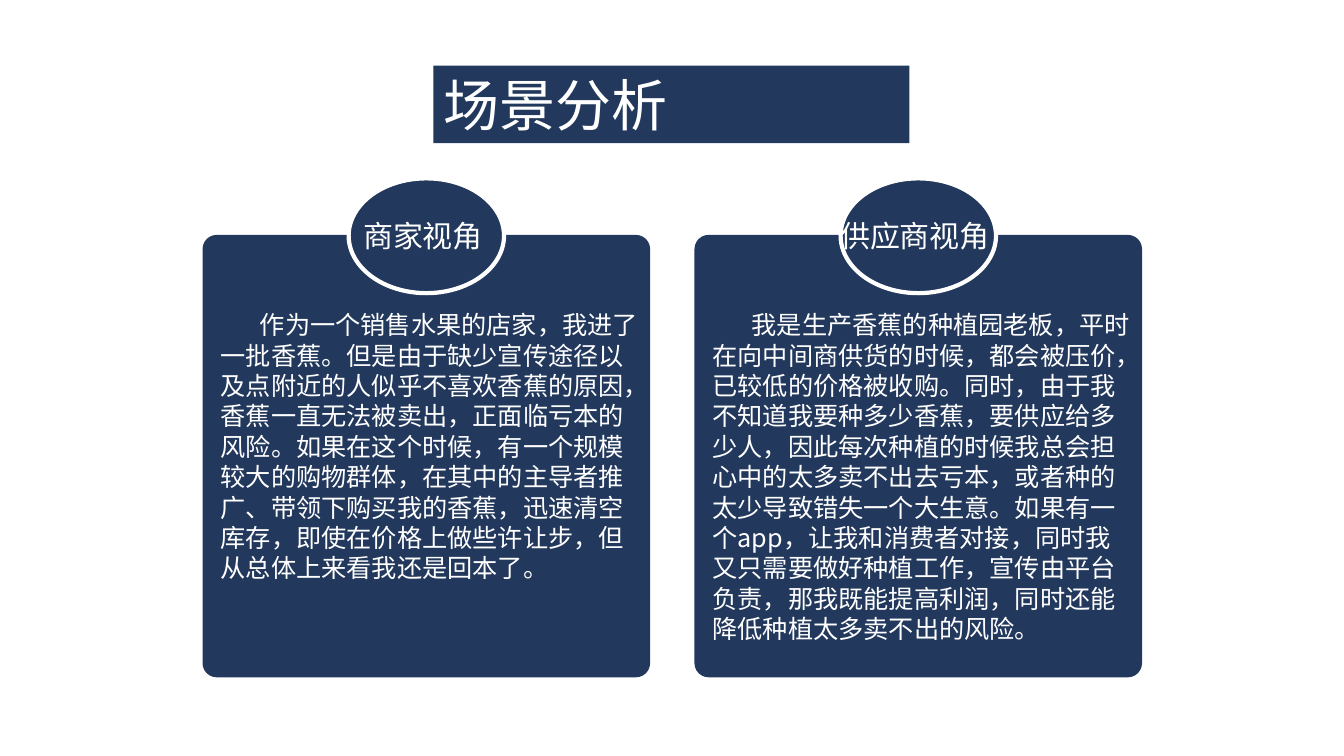
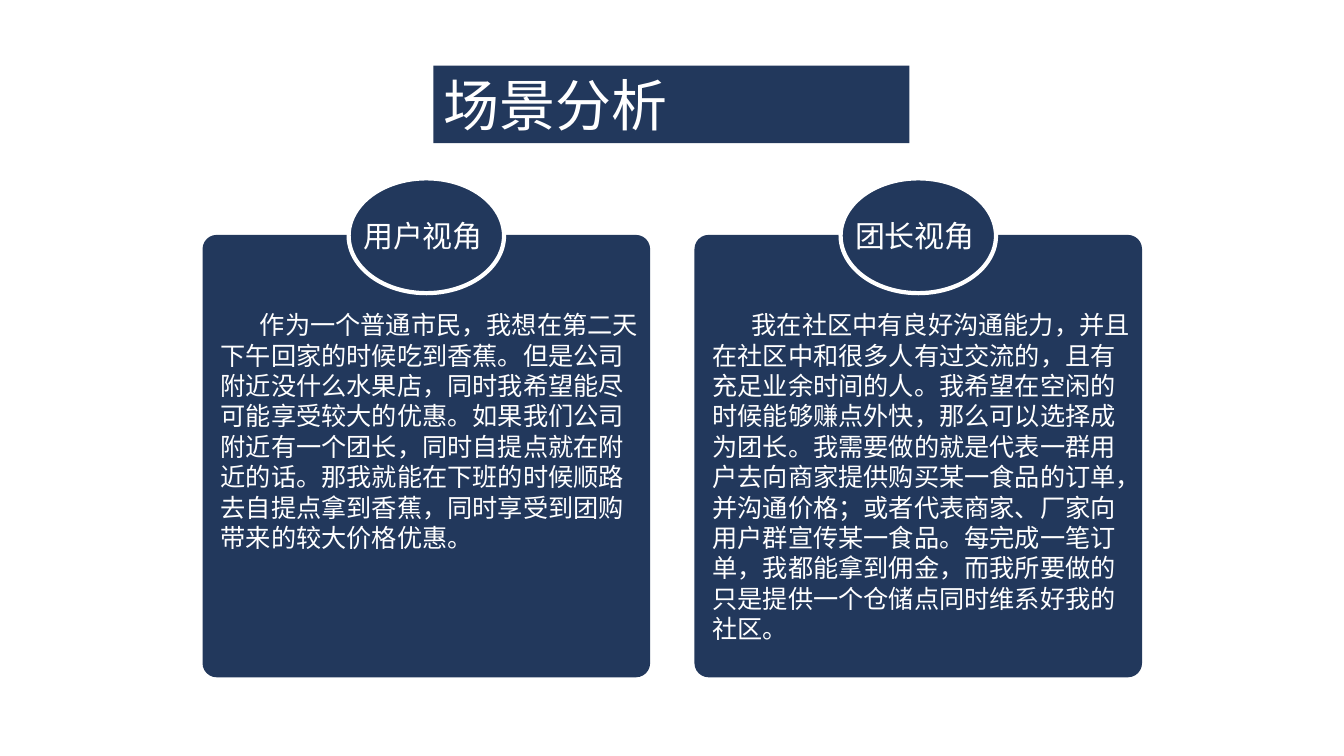
from dataclasses import dataclass

from lxml.etree import SubElement
from pptx import Presentation
from pptx.dml.color import RGBColor
from pptx.enum.shapes import MSO_SHAPE
from pptx.enum.text import MSO_ANCHOR, MSO_AUTO_SIZE, PP_ALIGN
from pptx.oxml.ns import qn
from pptx.slide import Slide
from pptx.util import Pt

NAVY = RGBColor(0x22, 0x38, 0x5C)
WHITE = RGBColor(0xFF, 0xFF, 0xFF)
FONT = "Noto Sans CJK SC"
TITLE = "场景分析"

# Layout in points
CARD_LEFT, CARD_TOP, CARD_W, CARD_H = 144.7, 167.8, 319.7, 316
CARD_GAP = 31.7
BADGE_W, BADGE_H = 111, 82
LABEL_W, LABEL_H = 169, 33
LABEL_SHIFT = -2.4
BODY_INSET, BODY_TOP, BODY_W, BODY_H = 5.8, 217.5, 313.2, 247
BODY_INDENT, BODY_LEADING = 28, 21.7


@dataclass(frozen=True)
class View:
    label: str
    story: str


SLIDES: list[tuple[View, View]] = [
    (
        View("商家视角", "作为一个销售水果的店家，我进了一批香蕉。但是由于缺少宣传途径以及点附近的人似乎不喜欢香蕉的原因，"
             "香蕉一直无法被卖出，正面临亏本的风险。如果在这个时候，有一个规模较大的购物群体，在其中的主导者推广、"
             "带领下购买我的香蕉，迅速清空库存，即使在价格上做些许让步，但从总体上来看我还是回本了。"),
        View("供应商视角", "我是生产香蕉的种植园老板，平时在向中间商供货的时候，都会被压价，已较低的价格被收购。同时，"
             "由于我不知道我要种多少香蕉，要供应给多少人，因此每次种植的时候我总会担心中的太多卖不出去亏本，"
             "或者种的太少导致错失一个大生意。如果有一个app，让我和消费者对接，同时我又只需要做好种植工作，"
             "宣传由平台负责，那我既能提高利润，同时还能降低种植太多卖不出的风险。"),
    ),
    (
        View("用户视角", "作为一个普通市民，我想在第二天下午回家的时候吃到香蕉。但是公司附近没什么水果店，"
             "同时我希望能尽可能享受较大的优惠。如果我们公司附近有一个团长，同时自提点就在附近的话。"
             "那我就能在下班的时候顺路去自提点拿到香蕉，同时享受到团购带来的较大价格优惠。"),
        View("团长视角", "我在社区中有良好沟通能力，并且在社区中和很多人有过交流的，且有充足业余时间的人。"
             "我希望在空闲的时候能够赚点外快，那么可以选择成为团长。我需要做的就是代表一群用户去向商家提供"
             "购买某一食品的订单，并沟通价格；或者代表商家、厂家向用户群宣传某一食品。每完成一笔订单，"
             "我都能拿到佣金，而我所要做的只是提供一个仓储点同时维系好我的社区。"),
    ),
]


def write(sp, text: str, size: float, align: PP_ALIGN, anchor: MSO_ANCHOR):
    """Fill a shape with one white paragraph and return it."""
    tf = sp.text_frame
    tf.word_wrap = True
    tf.auto_size = MSO_AUTO_SIZE.NONE
    tf.vertical_anchor = anchor
    p = tf.paragraphs[0]
    p.text = text
    p.alignment = align
    p.font.size = Pt(size)
    p.font.name = FONT
    p.font.color.rgb = WHITE
    # East Asian typeface
    SubElement(p._p.pPr.find(qn("a:defRPr")), qn("a:ea"), typeface=FONT)
    return p


def add_navy_shape(s: Slide, kind: MSO_SHAPE, left: float, top: float, width: float, height: float):
    sp = s.shapes.add_shape(kind, Pt(left), Pt(top), Pt(width), Pt(height))
    sp.shadow.inherit = False
    sp.fill.solid()
    sp.fill.fore_color.rgb = NAVY
    sp.line.fill.background()
    return sp


def add_title(s: Slide) -> None:
    sp = s.shapes.title
    sp.left, sp.top, sp.width, sp.height = Pt(309.6), Pt(46.8), Pt(340), Pt(55.4)
    sp.fill.solid()
    sp.fill.fore_color.rgb = NAVY
    write(sp, TITLE, 40, PP_ALIGN.JUSTIFY, MSO_ANCHOR.MIDDLE)


def add_view(s: Slide, view: View, left: float) -> None:
    # Card with an oval badge centred on its top edge
    card = add_navy_shape(s, MSO_SHAPE.ROUNDED_RECTANGLE, left, CARD_TOP, CARD_W, CARD_H)
    card.adjustments[0] = 0.032
    center = left + CARD_W / 2
    badge = add_navy_shape(s, MSO_SHAPE.OVAL, center - BADGE_W / 2, CARD_TOP + 0.6 - BADGE_H / 2,
                           BADGE_W, BADGE_H)
    badge.line.color.rgb = WHITE
    badge.line.width = Pt(3)

    # Label, wider than the badge
    label = s.shapes.add_textbox(Pt(center + LABEL_SHIFT - LABEL_W / 2), Pt(CARD_TOP + 0.6 - LABEL_H / 2),
                                 Pt(LABEL_W), Pt(LABEL_H))
    write(label, view.label, 21.4, PP_ALIGN.CENTER, MSO_ANCHOR.MIDDLE)

    # Story with a first-line indent
    body = s.shapes.add_textbox(Pt(left + BODY_INSET), Pt(BODY_TOP), Pt(BODY_W), Pt(BODY_H))
    p = write(body, view.story, 18, PP_ALIGN.LEFT, MSO_ANCHOR.TOP)
    p.line_spacing = Pt(BODY_LEADING)
    p._p.pPr.set("indent", str(Pt(BODY_INDENT)))


def main() -> None:
    prs = Presentation()
    prs.slide_width, prs.slide_height = Pt(960), Pt(540)
    for views in SLIDES:
        s = prs.slides.add_slide(prs.slide_layouts[5])
        add_title(s)
        for i, view in enumerate(views):
            add_view(s, view, CARD_LEFT + i * (CARD_W + CARD_GAP))
    prs.save("out.pptx")


if __name__ == "__main__":
    main()
